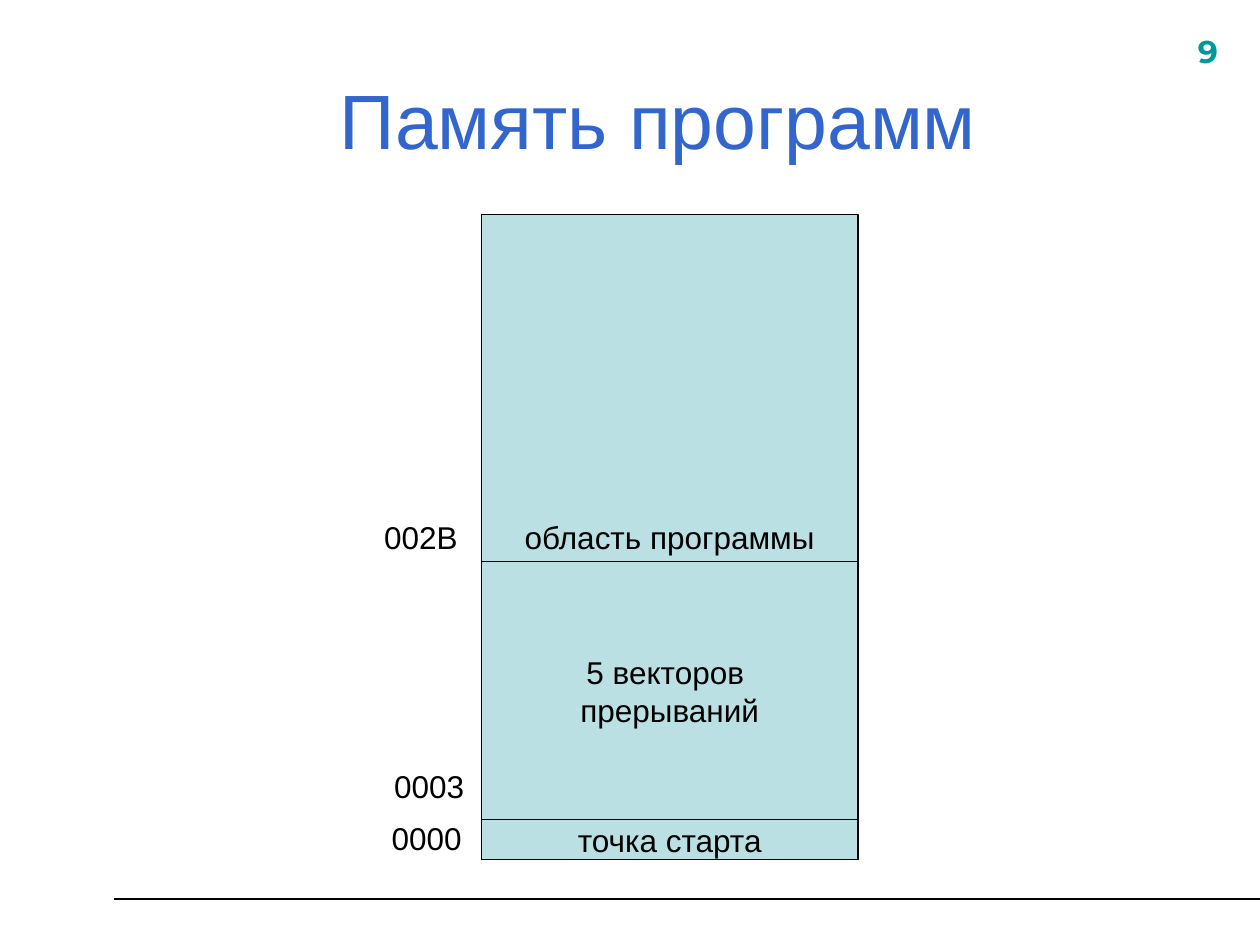
import dataclasses
import typing

import lxml.etree
import pptx
import pptx.dml.color
import pptx.enum.shapes
import pptx.enum.text
import pptx.oxml.ns
import pptx.util

COLS, ROWS = 100, 75
CELL = pptx.util.Inches(0.1)
ALIGN = pptx.enum.text.PP_ALIGN
ANCHOR = pptx.enum.text.MSO_ANCHOR
FIT = pptx.enum.text.MSO_AUTO_SIZE
BODY = {"name": "Arial", "size": pptx.util.Pt(18), "bold": False}


@dataclasses.dataclass
class Block:
    """A memory range, from its top row to its bottom row."""
    text: str
    top: float
    end: float


@dataclasses.dataclass
class Label:
    text: str
    left: float
    top: float
    width: float


LEFT, WIDE = 38.2, 29.9
TOP, VECTOR, START, END = 17, 44.55, 65.05, 68.2
BLOCKS = [
    Block("область программы", TOP, END),
    Block("точка старта", START, END),
    Block("5 векторов \nпрерываний", VECTOR, START),
]
LABELS = [
    Label("0000", 30.1, 64.5, 7.8),
    Label("0003", 30.3, 60.35, 7.8),
    Label("002B", 29.5, 40.6, 8.1),
]


def span(*cells: float) -> list[int]:
    """Turn grid cells into lengths."""
    return [round(cell * CELL) for cell in cells]


def color(code: str) -> pptx.dml.color.RGBColor:
    return pptx.dml.color.RGBColor.from_string(code)


def apply(item: typing.Any, form: dict) -> None:
    for key, value in form.items():
        setattr(item, key, value)


def write(shape, text: str, font: dict, code: str, align=ALIGN.LEFT, **frame) -> None:
    """Fill a shape with text; further names are text frame settings."""
    shape.text_frame.text = text
    apply(shape.text_frame, frame)
    for para in shape.text_frame.paragraphs:
        para.alignment = align
        for run in para.runs:
            apply(run.font, font)
            run.font.color.rgb = color(code)


def rule(slide) -> None:
    ends = span(9.05, 71.35, COLS, 71.35)
    line = slide.shapes.add_connector(pptx.enum.shapes.MSO_CONNECTOR.STRAIGHT, *ends)
    line.line.color.rgb = color("000000")
    line.line.width = pptx.util.Pt(1.25)
    props = line._element.spPr
    lxml.etree.SubElement(props, pptx.oxml.ns.qn("a:effectLst"))


def number(slide) -> None:
    box = slide.shapes.add_textbox(*span(94.1, 2.05, 6.3, 4.4))
    font = {"name": "Montserrat", "size": pptx.util.Pt(18), "bold": True}
    write(box, "9", font, "009999", word_wrap=True, auto_size=FIT.SHAPE_TO_FIT_TEXT)
    box.text_frame.paragraphs[0].space_before = pptx.util.Pt(11.2)


def title(slide) -> None:
    head = slide.shapes.title
    left, top, width, height = span(7.25, 3.2, 90, 12.5)
    apply(head, {"left": left, "top": top, "width": width, "height": height})
    font = {"name": "Arial", "size": pptx.util.Pt(44)}
    write(head, "Память программ", font, "3366CC", ALIGN.CENTER,
          vertical_anchor=ANCHOR.MIDDLE)


def block(slide, item: Block) -> None:
    area = span(LEFT, item.top, WIDE, item.end - item.top)
    rect = slide.shapes.add_shape(pptx.enum.shapes.MSO_SHAPE.RECTANGLE, *area)
    rect.shadow.inherit = False
    rect.fill.solid()
    rect.fill.fore_color.rgb = color("BBE0E3")
    rect.line.color.rgb = color("000000")
    rect.line.width = pptx.util.Pt(0.75)
    write(rect, item.text, BODY, "000000", ALIGN.CENTER,
          vertical_anchor=ANCHOR.MIDDLE, word_wrap=False)


def label(slide, item: Label) -> None:
    box = slide.shapes.add_textbox(*span(item.left, item.top, item.width, 4))
    write(box, item.text, BODY, "000000", word_wrap=False,
          auto_size=FIT.SHAPE_TO_FIT_TEXT)


def main() -> None:
    deck = pptx.Presentation()
    deck.slide_width, deck.slide_height = span(COLS, ROWS)
    slide = deck.slides.add_slide(deck.slide_layouts[5])
    rule(slide)
    number(slide)
    title(slide)
    for item in BLOCKS:
        block(slide, item)
    for item in LABELS:
        label(slide, item)
    deck.save("out.pptx")


if __name__ == "__main__":
    main()
